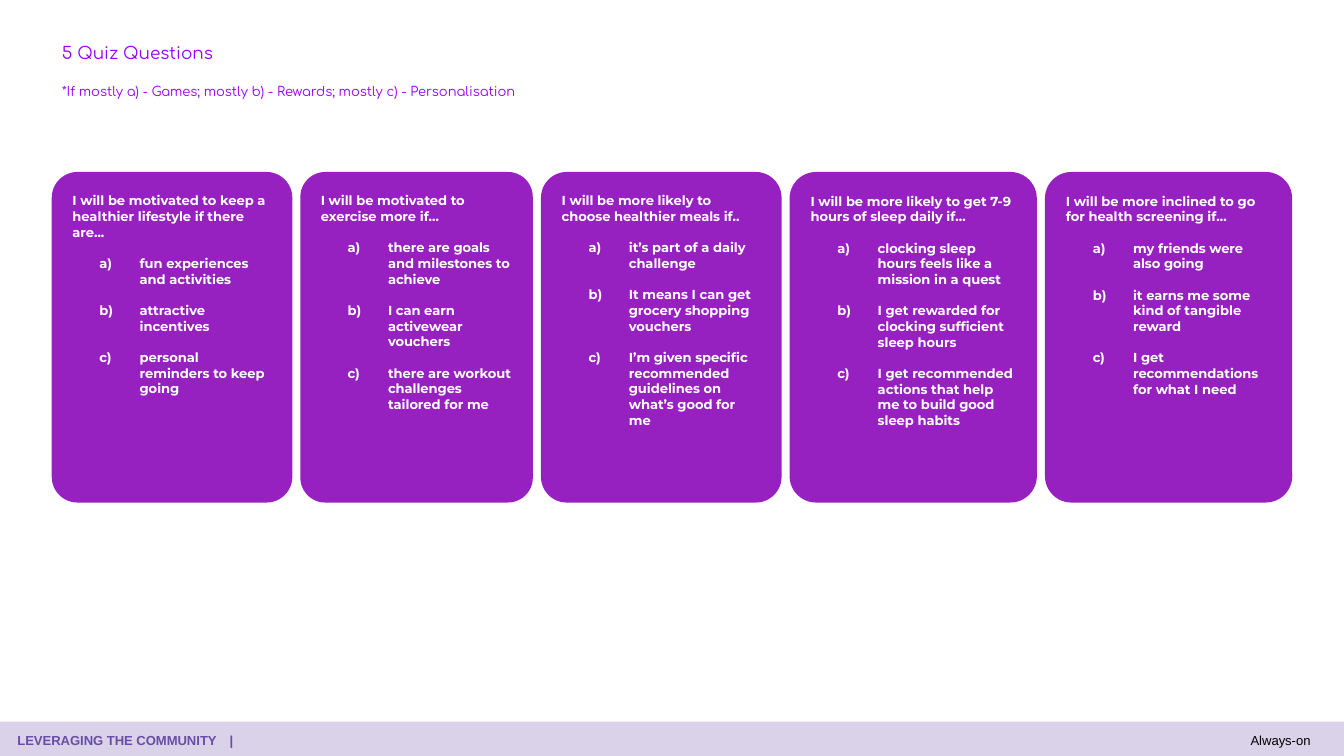
"""Build the quiz question slide with five question cards."""
from dataclasses import dataclass

from lxml import etree
from pptx import Presentation
from pptx.dml.color import RGBColor
from pptx.enum.shapes import MSO_SHAPE
from pptx.enum.text import MSO_ANCHOR, MSO_AUTO_SIZE, PP_ALIGN
from pptx.oxml.ns import qn
from pptx.util import Inches, Pt

RECTANGLE, ROUNDED = MSO_SHAPE.RECTANGLE, MSO_SHAPE.ROUNDED_RECTANGLE
TOP, MIDDLE = MSO_ANCHOR.TOP, MSO_ANCHOR.MIDDLE
LEFT, RIGHT = PP_ALIGN.LEFT, PP_ALIGN.RIGHT
NO_AUTOFIT = MSO_AUTO_SIZE.NONE

SLIDE_WIDTH = 10
SLIDE_HEIGHT = SLIDE_WIDTH * 9 / 16
CARD_TOP, CARD_HEIGHT, CARD_GAP = 1.28, 2.46, 0.06
FOOTER_TOP, FOOTER_HEIGHT = 5.37, 0.27

CARDS = [
    (1.79, "I will be motivated to keep a healthier lifestyle if there are...",
     ["fun experiences and activities", "attractive incentives",
      "personal reminders to keep going"]),
    (1.73, "I will be motivated to exercise more if…",
     ["there are goals and milestones to achieve",
      "I can earn activewear vouchers",
      "there are workout challenges tailored for me"]),
    (1.79, "I will be more likely to choose healthier meals if..",
     ["it’s part of a daily challenge",
      "It means I can get grocery shopping vouchers",
      "I’m given specific recommended guidelines on what’s good for me"]),
    (1.84, "I will be more likely to get 7-9 hours of sleep daily if…",
     ["clocking sleep hours feels like a mission in a quest",
      "I get rewarded for clocking sufficient sleep hours",
      "I get recommended actions that help me to build good sleep habits"]),
    (1.84, "I will be more inclined to go for health screening if…",
     ["my friends were also going", "it earns me some kind of tangible reward",
      "I get recommendations for what I need"]),
]


@dataclass(frozen=True)
class Theme:
    """Colours, fonts and type sizes of the slide."""
    heading: str = "9900FF"
    card: str = "9620C0"
    card_text: str = "FFFFFF"
    footer: str = "D9D2E9"
    footer_label: str = "674EA7"
    footer_note: str = "000000"
    heading_font: str = "Comfortaa"
    card_font: str = "Montserrat"
    footer_font: str = "Arial"
    heading_size: float = 9
    body_size: float = 7


def write(frame, text, *, font, size, color, bold=False, align=LEFT,
          space_before=0, lettered=False, tab=None):
    """Add one formatted paragraph to a text frame."""
    para = frame.paragraphs[0] if not frame.text else frame.add_paragraph()
    para.alignment = align
    para.space_before = Pt(space_before)
    span = para.add_run()
    span.text = text
    span.font.name, span.font.size, span.font.bold = font, Pt(size), bold
    span.font.color.rgb = RGBColor.from_string(color)
    properties = para._p.get_or_add_pPr()
    if lettered:
        properties.set("marL", str(Inches(0.5)))
        properties.set("indent", str(Inches(-0.3)))
        bullet = etree.SubElement(properties, qn("a:buAutoNum"))
        bullet.set("type", "alphaLcParenR")
    if tab is not None:
        stops = etree.SubElement(properties, qn("a:tabLst"))
        stop = etree.SubElement(stops, qn("a:tab"))
        stop.set("pos", str(Inches(tab)))
        stop.set("algn", "l")


class QuizSlide:
    """Hold the theme and the slide, and draw each kind of element."""

    def __init__(self, page, theme):
        """Keep the page and its theme."""
        self.page, self.theme = page, theme

    def prepare(self, box, anchor=TOP):
        """Set wrapping, insets and anchor of a box and return its frame."""
        frame = box.text_frame
        frame.word_wrap, frame.auto_size = True, NO_AUTOFIT
        frame.vertical_anchor = anchor
        frame.margin_left = frame.margin_right = Inches(0.1)
        frame.margin_top = frame.margin_bottom = Inches(0.1)
        return frame

    def shape(self, kind, left, top, width, height, fill):
        """Draw a flat filled shape without outline."""
        box = self.page.shapes.add_shape(
            kind, Inches(left), Inches(top), Inches(width), Inches(height))
        box.shadow.inherit = False
        box.fill.solid()
        box.fill.fore_color.rgb = RGBColor.from_string(fill)
        box.line.fill.background()
        return box

    def title(self, heading, hint):
        """Place the heading and the scoring hint in the title."""
        theme, box = self.theme, self.page.shapes.title
        box.left, box.top = Inches(0.36), Inches(0.22)
        box.width, box.height = Inches(4.28), Inches(0.74)
        frame = self.prepare(box)
        look = {"font": theme.heading_font, "color": theme.heading}
        write(frame, heading, size=theme.heading_size, **look)
        write(frame, hint, size=theme.body_size, space_before=11, **look)

    def card(self, left, width, question, answers):
        """Draw a question card with lettered answers."""
        theme = self.theme
        box = self.shape(ROUNDED, left, CARD_TOP, width, CARD_HEIGHT, theme.card)
        box.adjustments[0] = 0.107
        frame = self.prepare(box)
        look = {"font": theme.card_font, "size": theme.body_size,
                "color": theme.card_text, "bold": True}
        write(frame, question, **look)
        for answer in answers:
            write(frame, answer, space_before=8.4, lettered=True, **look)

    def footer(self, label, note):
        """Draw the footer band with a label and a right-hand note."""
        theme = self.theme
        look = {"font": theme.footer_font, "size": theme.body_size}
        band = self.shape(RECTANGLE, 0, FOOTER_TOP, SLIDE_WIDTH, FOOTER_HEIGHT,
                          theme.footer)
        frame = self.prepare(band, MIDDLE)
        frame.margin_left = Inches(0.13)
        write(frame, label, color=theme.footer_label, bold=True, tab=1.58, **look)
        box = self.page.shapes.add_textbox(
            Inches(5.12), Inches(FOOTER_TOP), Inches(4.73), Inches(FOOTER_HEIGHT))
        write(self.prepare(box, MIDDLE), note, color=theme.footer_note,
              align=RIGHT, **look)


def main():
    """Build and save the deck."""
    deck = Presentation()
    deck.slide_width, deck.slide_height = Inches(SLIDE_WIDTH), Inches(SLIDE_HEIGHT)
    slide = QuizSlide(deck.slides.add_slide(deck.slide_layouts[5]), Theme())
    slide.title("5 Quiz Questions",
                "*If mostly a) - Games; mostly b) - Rewards; mostly c) - Personalisation")
    row_width = sum(card[0] for card in CARDS) + CARD_GAP * (len(CARDS) - 1)
    left = (SLIDE_WIDTH - row_width) / 2
    for width, question, answers in CARDS:
        slide.card(left, width, question, answers)
        left += width + CARD_GAP
    slide.footer("LEVERAGING THE COMMUNITY\t|", "Always-on")
    deck.save("out.pptx")


if __name__ == "__main__":
    main()
